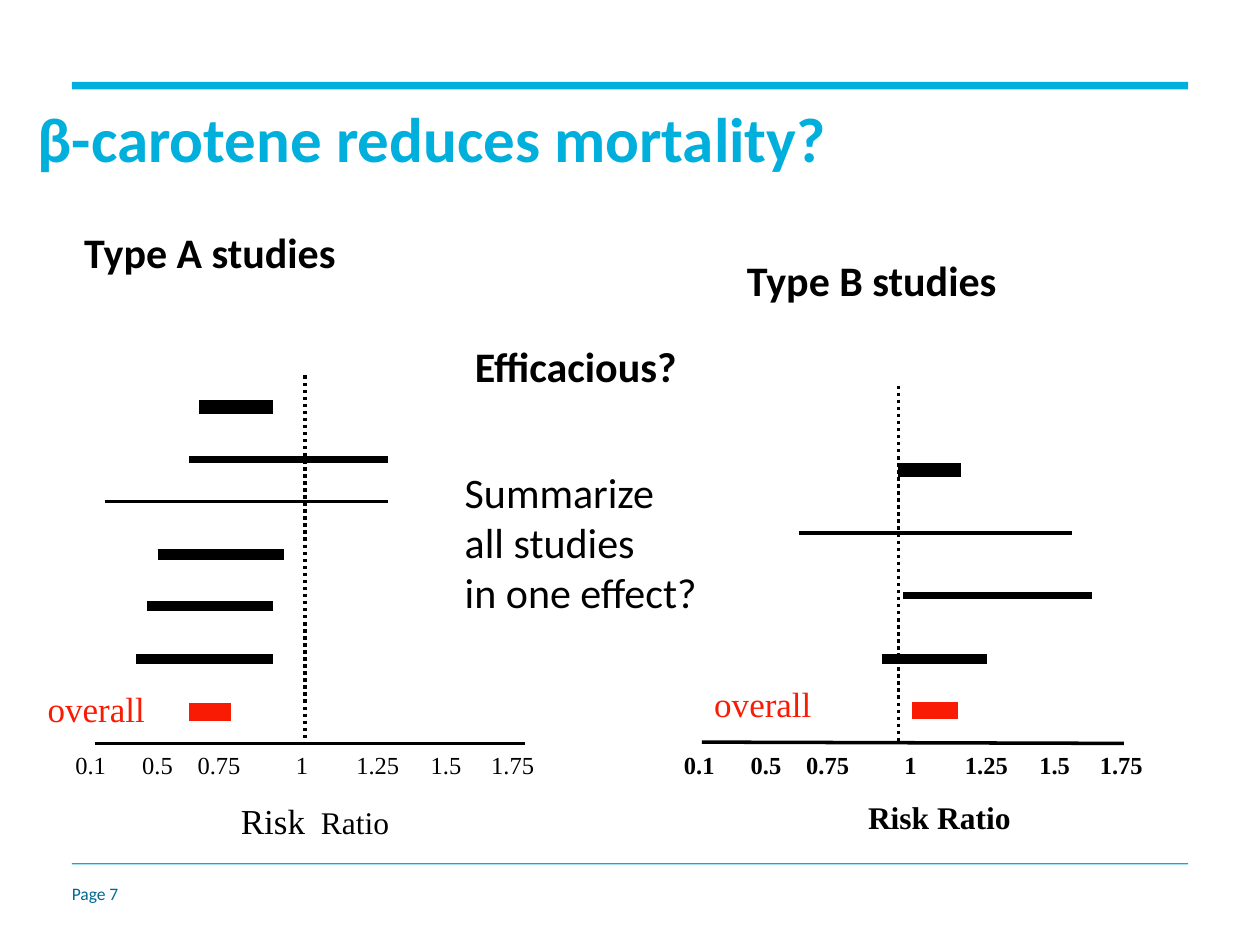
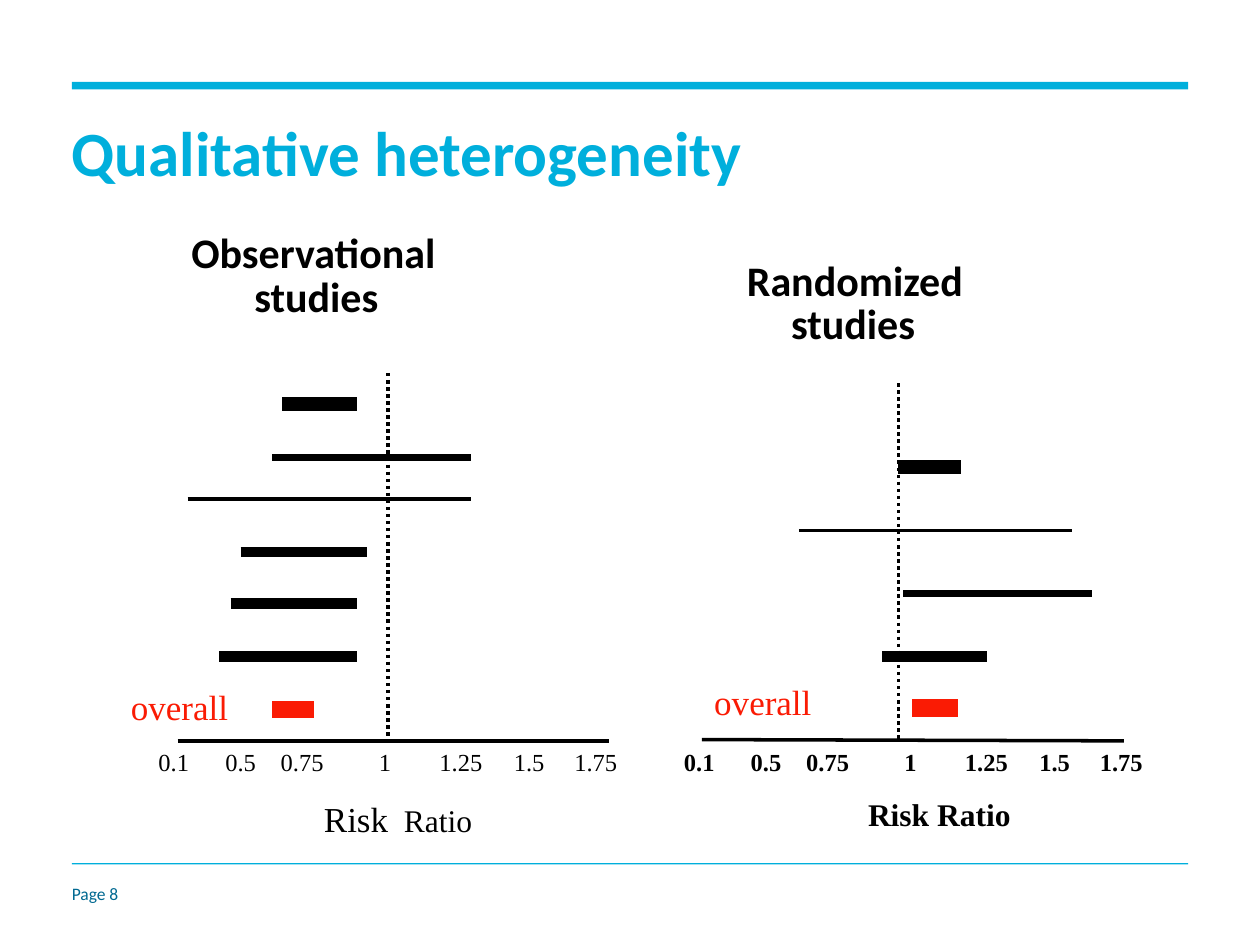
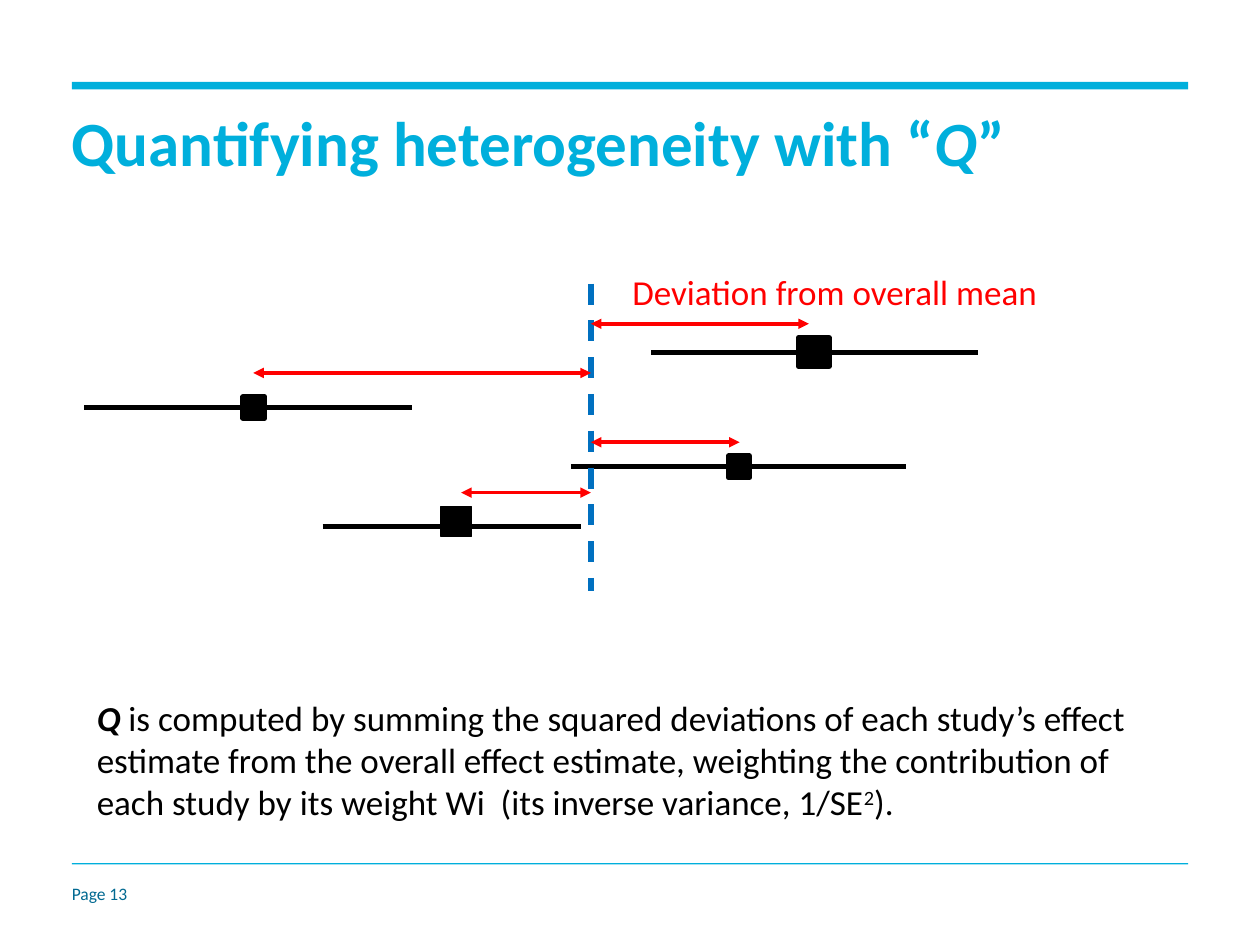
from dataclasses import dataclass, replace
from typing import Optional

from lxml import etree
from pptx import Presentation, util as u
from pptx.dml.color import RGBColor
from pptx.enum import dml, shapes, text
from pptx.oxml import ns

WIDTH, HEIGHT = u.Inches(10), u.Inches(7.5)
COLUMNS, ROWS = 100, 75

CYAN = RGBColor(0x00, 0xAF, 0xDC)
TEAL = RGBColor(0x00, 0x69, 0x91)
BLACK = RGBColor(0x00, 0x00, 0x00)
RED = RGBColor(0xFF, 0x00, 0x00)
SCARLET = RGBColor(0xFA, 0x1B, 0x04)
BLUE = RGBColor(0x00, 0x70, 0xC0)


@dataclass(frozen=True)
class Area:
    left: float
    top: float
    width: float
    height: float


@dataclass(frozen=True)
class Style:
    size: float
    color: RGBColor = BLACK
    bold: bool = False
    italic: bool = False
    font: str = "Calibri"


@dataclass(frozen=True)
class Line:
    left: float
    top: float
    right: float
    bottom: float
    weight: float
    color: RGBColor = BLACK
    dash: Optional[dml.MSO_LINE] = None
    arrows: bool = False


@dataclass(frozen=True)
class Interval:
    left: float
    right: float
    row: float
    weight: float
    color: RGBColor = BLACK


@dataclass(frozen=True)
class ForestPlot:
    axis: Line
    null_line: Line
    scale: Area
    scale_style: Style
    ratio_label: tuple[tuple[str, float], ...]
    overall: Area
    intervals: tuple[Interval, ...]


@dataclass(frozen=True)
class Study:
    low: float
    high: float
    square: Area
    outline: float = 3
    sag: float = 0


TITLE = Style(36, CYAN, bold=True)
HEADING = Style(24, bold=True)
BODY = Style(20)
PAGE_NUMBER = Style(10, TEAL)
OVERALL = Style(20, SCARLET, font="Times New Roman")
SCALE = Style(14, font="Times New Roman")

TICKS = "0.1\t0.5\t0.75\t1\t1.25\t1.5\t1.75"
TICK_STOPS = (5.3, 9.7, 17.5, 22.3, 28.2, 33)

LEFT_HEADING = Area(5.7, 18, 88.6, 45.1)
RIGHT_HEADING = Area(58.3, 20.2, 41.7, 6.3)

LEFT_PLOT = ForestPlot(
    axis=Line(7.5, 59, 41.7, 59, 2),
    null_line=Line(24.2, 29.8, 24.2, 59, 2, dash=dml.MSO_LINE.ROUND_DOT),
    scale=Area(5, 59, 40, 8.4),
    scale_style=SCALE,
    ratio_label=(("Risk", 20), ("  Ratio", 18)),
    overall=Area(2.8, 54.1, 9.8, 4.4),
    intervals=(
        Interval(15.8, 21.7, 32.3, 8),
        Interval(15, 30.8, 36.5, 4),
        Interval(8.3, 30.8, 39.8, 2),
        Interval(12.5, 22.5, 44, 6),
        Interval(11.7, 21.7, 48.1, 6),
        Interval(10.8, 21.7, 52.3, 6),
        Interval(15, 18.3, 56.5, 10, SCARLET),
    ),
)
RIGHT_PLOT = ForestPlot(
    axis=Line(55.7, 58.9, 89.2, 59, 2),
    null_line=Line(71.3, 30.6, 71.3, 58.9, 2, dash=dml.MSO_LINE.ROUND_DOT),
    scale=Area(53.3, 59, 42.5, 7.9),
    scale_style=replace(SCALE, bold=True),
    ratio_label=(("Risk Ratio", 18),),
    overall=Area(55.7, 53.7, 9.8, 4.4),
    intervals=(
        Interval(71.3, 76.3, 37.3, 8),
        Interval(63.4, 85.1, 42.3, 2),
        Interval(71.7, 86.7, 47.3, 4),
        Interval(70, 78.3, 52.3, 6),
        Interval(72.4, 76, 56.4, 10, SCARLET),
    ),
)

STUDIES = (
    Study(6.7, 32.7, Area(19.3, 31.5, 1.7, 1.7)),
    Study(51.7, 77.6, Area(63.4, 26.8, 2.4, 2.3)),
    Study(45.3, 71.9, Area(57.8, 36.2, 1.7, 1.7)),
    Study(25.6, 46.1, Area(35, 40.2, 2.4, 2.4), outline=0.75, sag=0.4),
)
MEAN = 46.9
DEVIATIONS = ((20.1, MEAN, 29.6), (36.6, MEAN, 39.1),
              (MEAN, 64.2, 25.7), (MEAN, 58.7, 35.1))


def across(columns: float) -> int:
    return round(WIDTH * columns / COLUMNS)


def down(rows: float) -> int:
    return round(HEIGHT * rows / ROWS)


def frame_of(area: Area) -> tuple[int, int, int, int]:
    return across(area.left), down(area.top), across(area.width), down(area.height)


def moved(area: Area, columns: float, rows: float) -> Area:
    return replace(area, left=area.left + columns, top=area.top + rows)


def format_span(span, style: Style) -> None:
    span.font.name = style.font
    span.font.size = u.Pt(style.size)
    span.font.bold = style.bold
    span.font.italic = style.italic
    span.font.color.rgb = style.color


def append_span(para, words: str, style: Style):
    span = para.add_run()
    span.text = words
    format_span(span, style)
    return span


def add_text(page, area: Area, words: str, style: Style, wrap: bool = True,
             padded: bool = True, middle: bool = False, spacing=None):
    frame = page.shapes.add_textbox(*frame_of(area)).text_frame
    frame.word_wrap = wrap
    if not padded:
        frame.margin_left = frame.margin_right = 0
        frame.margin_top = frame.margin_bottom = 0
    if middle:
        frame.vertical_anchor = text.MSO_ANCHOR.MIDDLE
    frame.text = words
    for para in frame.paragraphs:
        para.line_spacing = spacing
        for span in para.runs:
            format_span(span, style)
    return frame


def add_rectangle(page, area: Area, color: RGBColor, outline: float = 0):
    box = page.shapes.add_shape(shapes.MSO_SHAPE.RECTANGLE, *frame_of(area))
    box.shadow.inherit = False
    box.fill.solid()
    box.fill.fore_color.rgb = color
    if outline:
        box.line.color.rgb = color
        box.line.width = u.Pt(outline)
    else:
        box.line.fill.background()
    return box


def add_line(page, line: Line):
    connector = page.shapes.add_connector(
        shapes.MSO_CONNECTOR.STRAIGHT, across(line.left), down(line.top),
        across(line.right), down(line.bottom))
    connector.line.color.rgb = line.color
    connector.line.width = u.Pt(line.weight)
    if line.dash:
        connector.line.dash_style = line.dash
    properties = connector._element.spPr
    if line.arrows:
        stroke = properties.find(ns.qn("a:ln"))
        for end in ("a:headEnd", "a:tailEnd"):
            etree.SubElement(stroke, ns.qn(end), type="triangle")
    etree.SubElement(properties, ns.qn("a:effectLst"))
    return connector


def add_heading(page, area: Area, words: str) -> None:
    frame = add_text(page, area, words, HEADING, spacing=u.Pt(25))
    indent = across(3.5)
    properties = frame.paragraphs[0]._p.get_or_add_pPr()
    properties.set("marL", str(indent))
    properties.set("indent", str(-indent))


def add_title(page, words: str, top: float):
    return add_text(page, Area(5.7, top, 88.6, 5.8), words, TITLE,
                    padded=False, middle=True, spacing=u.Pt(42))


def add_page(deck, number: int):
    page = deck.slides.add_slide(deck.slide_layouts[6])
    add_rectangle(page, Area(5.7, 6.5, 88.6, 0.6), CYAN)
    add_rectangle(page, Area(5.7, 68.5, 88.6, 0.12), CYAN)
    add_text(page, Area(5.7, 70.1, 8.9, 1.7), f"Page {number}", PAGE_NUMBER,
             padded=False, middle=True, spacing=u.Pt(12))
    return page


def add_scale(page, area: Area, plot: ForestPlot) -> None:
    frame = add_text(page, area, TICKS, plot.scale_style)
    properties = frame.paragraphs[0]._p.get_or_add_pPr()
    stops = etree.SubElement(properties, ns.qn("a:tabLst"))
    for stop in TICK_STOPS:
        etree.SubElement(stops, ns.qn("a:tab"), pos=str(across(stop)), algn="l")
    label = frame.add_paragraph()
    label.alignment = text.PP_ALIGN.CENTER
    label.space_before = u.Pt(0.6 * plot.ratio_label[0][1])
    for words, size in plot.ratio_label:
        append_span(label, words, replace(plot.scale_style, size=size))


def add_forest_plot(page, plot: ForestPlot, columns: float = 0, rows: float = 0) -> None:
    bars = [Line(bar.left, bar.row, bar.right, bar.row, bar.weight, bar.color)
            for bar in plot.intervals]
    for line in (plot.axis, plot.null_line, *bars):
        add_line(page, replace(line, left=line.left + columns, right=line.right + columns,
                               top=line.top + rows, bottom=line.bottom + rows))
    add_scale(page, moved(plot.scale, columns, rows), plot)
    add_text(page, moved(plot.overall, columns, rows), "overall", OVERALL, wrap=False)


def add_study(page, study: Study) -> None:
    square = study.square
    box = add_rectangle(page, square, BLACK, study.outline)
    row = square.top + square.height / 2 + study.sag
    lower = add_line(page, Line(study.low, row, square.left, row, 3))
    upper = add_line(page, Line(square.left + square.width, row, study.high, row, 3))
    if not study.sag:
        lower.end_connect(box, 1)
        upper.begin_connect(box, 3)


def build_mortality(deck) -> None:
    page = add_page(deck, 7)
    add_text(page, Area(2, 8.4, 98, 5.8), "β-carotene reduces mortality?", TITLE,
             middle=True, spacing=0.9)
    add_heading(page, LEFT_HEADING, "Type A studies")
    add_heading(page, RIGHT_HEADING, "Type B studies")
    add_forest_plot(page, LEFT_PLOT)
    add_forest_plot(page, RIGHT_PLOT)
    add_text(page, Area(36.7, 26.5, 18.3, 5.1), "Efficacious?", HEADING, wrap=False)
    add_text(page, Area(35.9, 36.5, 20.7, 13.2),
             "Summarize\vall studies\nin one effect?", Style(24), wrap=False)


def build_qualitative(deck) -> None:
    page = add_page(deck, 8)
    add_title(page, "Qualitative heterogeneity", 9.2)
    add_heading(page, LEFT_HEADING, "\t\tObservational\v\t\tstudies")
    add_heading(page, RIGHT_HEADING, "Randomized\vstudies")
    add_forest_plot(page, LEFT_PLOT, columns=6.6, rows=-0.2)
    add_forest_plot(page, RIGHT_PLOT, rows=-0.2)


def build_quantifying(deck) -> None:
    page = add_page(deck, 13)
    title = add_title(page, "Quantifying heterogeneity with “", 8.4).paragraphs[0]
    append_span(title, "Q", replace(TITLE, italic=True))
    append_span(title, "”", TITLE)
    for study in STUDIES:
        add_study(page, study)
    add_line(page, Line(MEAN, 22.5, MEAN, 46.9, 3, BLUE, dml.MSO_LINE.DASH))
    for left, right, row in DEVIATIONS:
        add_line(page, Line(left, row, right, row, 2, RED, arrows=True))
    add_text(page, Area(49.2, 21, 34.6, 4.4), "Deviation from overall mean",
             replace(BODY, color=RED))
    summary = add_text(page, Area(6.7, 54.8, 85, 14.5), "Q",
                       replace(BODY, bold=True, italic=True)).paragraphs[0]
    append_span(summary, " is computed by summing the squared deviations of each study’s "
                "effect estimate from the overall effect estimate, weighting the "
                "contribution of each study by its weight Wi  (its inverse variance, 1/SE",
                BODY)
    exponent = append_span(summary, "2", BODY)
    exponent._r.get_or_add_rPr().set("baseline", "30000")
    append_span(summary, ").", BODY)


def main() -> None:
    deck = Presentation()
    deck.slide_width, deck.slide_height = WIDTH, HEIGHT
    build_mortality(deck)
    build_qualitative(deck)
    build_quantifying(deck)
    deck.save("out.pptx")


if __name__ == "__main__":
    main()
